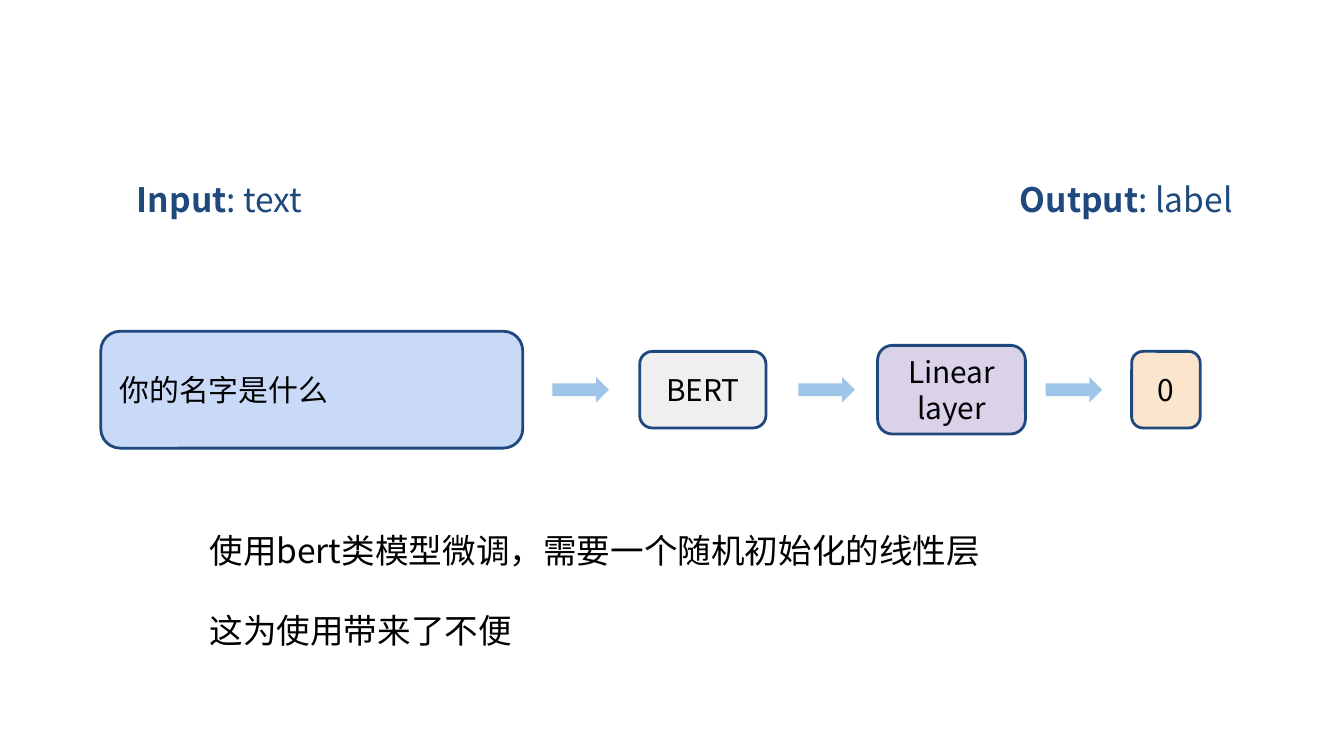
from pptx import Presentation
from pptx.dml.color import RGBColor
from pptx.enum.shapes import MSO_SHAPE
from pptx.enum.text import MSO_ANCHOR, PP_ALIGN
from pptx.util import Inches, Pt

ROUNDED = MSO_SHAPE.ROUNDED_RECTANGLE
ARROW = MSO_SHAPE.RIGHT_ARROW
MIDDLE = MSO_ANCHOR.MIDDLE
LEFT, CENTER = PP_ALIGN.LEFT, PP_ALIGN.CENTER

FONT = "Noto Sans CJK SC"
BLACK = RGBColor(0x00, 0x00, 0x00)
NAVY = RGBColor(0x1F, 0x49, 0x7D)
SKY = RGBColor(0x9F, 0xC5, 0xE8)
BLUE = RGBColor(0xC9, 0xDA, 0xF8)
GRAY = RGBColor(0xEF, 0xEF, 0xEF)
PURPLE = RGBColor(0xD9, 0xD2, 0xE9)
ORANGE = RGBColor(0xFC, 0xE5, 0xCD)

FLOW_CENTER = 2.9
ARROW_WIDTH, ARROW_HEIGHT = 0.42, 0.19


def set_margins(frame):
    frame.word_wrap = True
    frame.margin_left = frame.margin_right = Inches(0.1)
    frame.margin_top = frame.margin_bottom = Inches(0.1)


def format_paragraph(paragraph, size, color, alignment=LEFT):
    paragraph.alignment = alignment
    paragraph.font.name = FONT
    paragraph.font.size = Pt(size)
    paragraph.font.color.rgb = color


presentation = Presentation()
presentation.slide_width = Inches(10)
presentation.slide_height = Inches(10 * 9 / 16)
slide = presentation.slides.add_slide(presentation.slide_layouts[6])

# Processing steps, centred on one horizontal line
steps = [
    ("你的名字是什么", 0.75, 3.14, 0.87, BLUE, LEFT),
    ("BERT", 4.76, 0.94, 0.57, GRAY, CENTER),
    ("Linear layer", 6.53, 1.1, 0.66, PURPLE, CENTER),
    ("0", 8.42, 0.51, 0.57, ORANGE, CENTER),
]
for text, left, width, height, color, alignment in steps:
    box = slide.shapes.add_shape(
        ROUNDED, Inches(left), Inches(FLOW_CENTER - height / 2),
        Inches(width), Inches(height))
    box.shadow.inherit = False
    box.fill.solid()
    box.fill.fore_color.rgb = color
    box.line.color.rgb = NAVY
    box.line.width = Pt(1.5)
    set_margins(box.text_frame)
    box.text_frame.vertical_anchor = MIDDLE
    box.text_frame.text = text
    format_paragraph(box.text_frame.paragraphs[0], 16, BLACK, alignment)

for left in (4.11, 5.94, 7.78):
    arrow = slide.shapes.add_shape(
        ARROW, Inches(left), Inches(FLOW_CENTER - ARROW_HEIGHT / 2),
        Inches(ARROW_WIDTH), Inches(ARROW_HEIGHT))
    arrow.shadow.inherit = False
    arrow.fill.solid()
    arrow.fill.fore_color.rgb = SKY
    arrow.line.fill.background()

# Headings above the two ends of the flow
for name, kind, left, width in (("Input", "text", 0.92, 2.64),
                                ("Output", "label", 7.49, 2.03)):
    heading = slide.shapes.add_textbox(
        Inches(left), Inches(1.23), Inches(width), Inches(0.5))
    set_margins(heading.text_frame)
    paragraph = heading.text_frame.paragraphs[0]
    format_paragraph(paragraph, 18, NAVY)
    name_run = paragraph.add_run()
    name_run.text = name
    name_run.font.bold = True
    paragraph.add_run().text = f": {kind}"

# Remarks below the flow
remarks = slide.shapes.add_textbox(
    Inches(1.46), Inches(3.84), Inches(6.01), Inches(1.1))
set_margins(remarks.text_frame)
remarks.text_frame.text = (
    "使用bert类模型微调，需要一个随机初始化的线性层\n这为使用带来了不便")
for paragraph in remarks.text_frame.paragraphs:
    format_paragraph(paragraph, 18, BLACK)
remarks.text_frame.paragraphs[1].space_before = Pt(21.5)

presentation.save("out.pptx")
